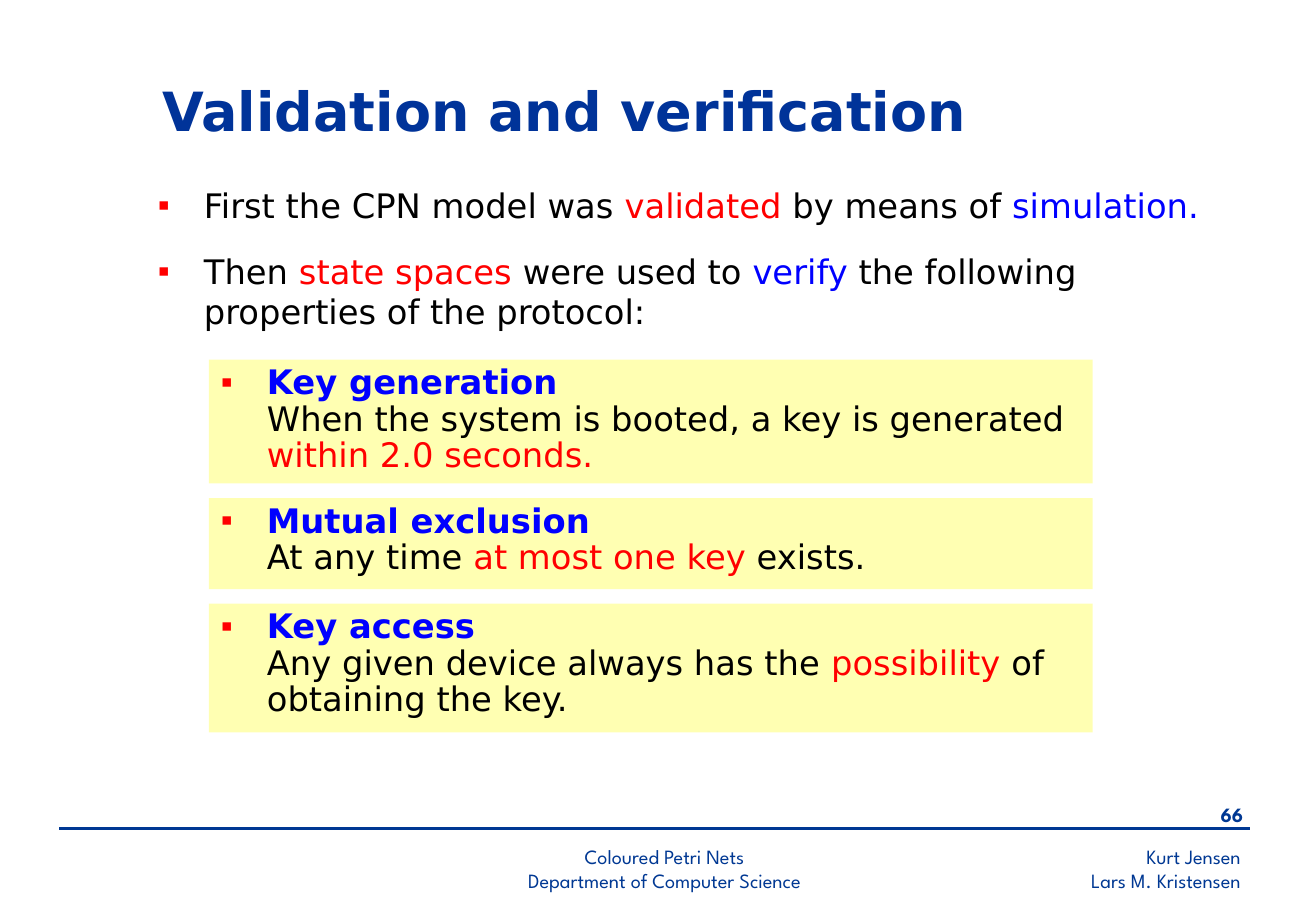
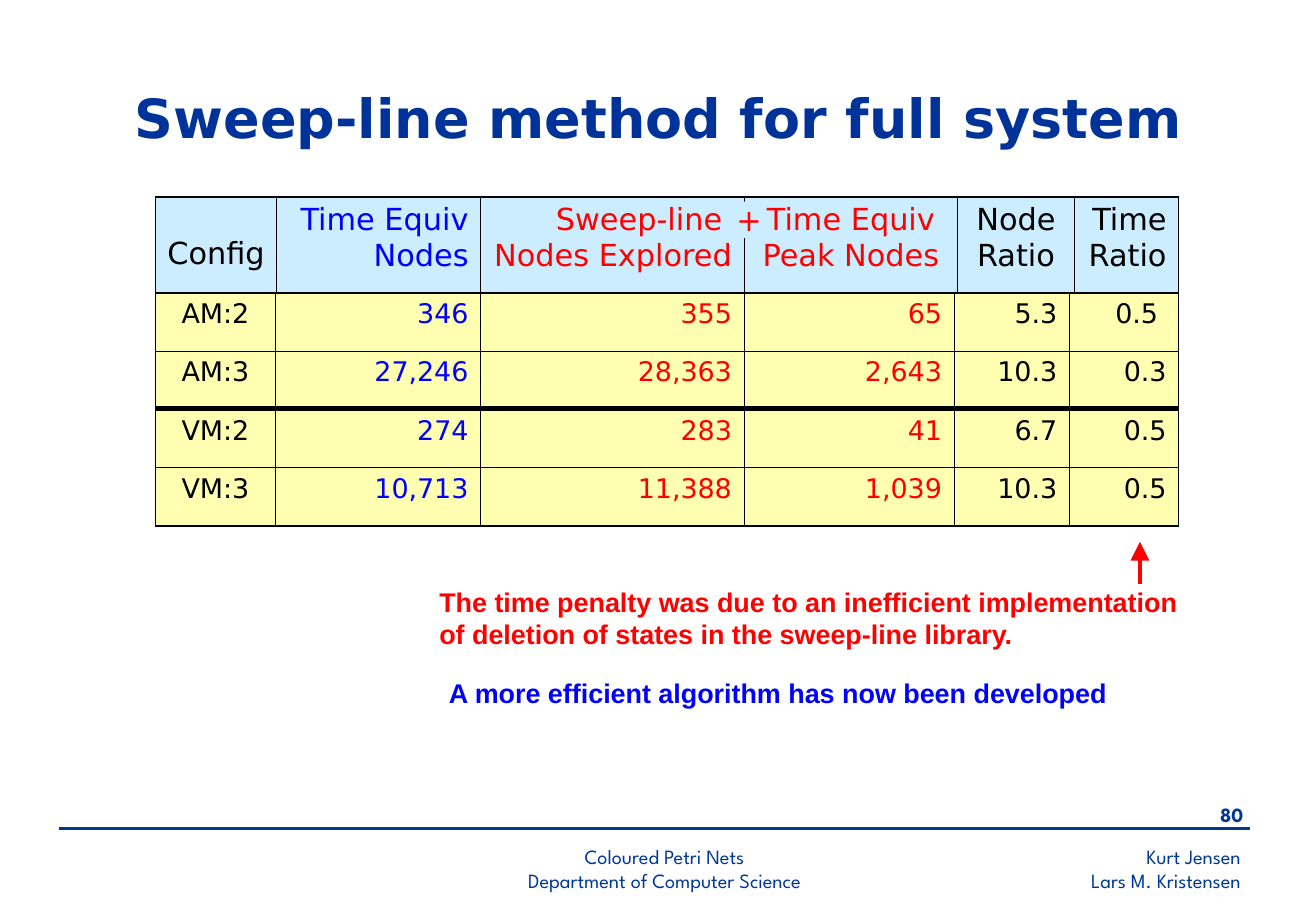
from typing import NamedTuple, Optional, Sequence

import pptx
import pptx.dml.color
import pptx.enum.shapes
import pptx.enum.text
import pptx.oxml
import pptx.oxml.ns
import pptx.util
from lxml import etree

PX = 9144  # EMU per px, 100 px to the inch
Align = pptx.enum.text.PP_ALIGN
Anchor = pptx.enum.text.MSO_ANCHOR
qn = pptx.oxml.ns.qn

BLACK, RED, BLUE = "000000", "FF0000", "0000FF"
TITLE_BLUE, FOOTER_BLUE = "003399", "003893"
YELLOW, PALE_BLUE = "FFFF66", "CCECFF"
SANS, ARIAL, FOOTER_FONT = "DejaVu Sans", "Arial", "League Spartan"


class Box(NamedTuple):
    x: int
    y: int
    w: int
    h: int


class Run(NamedTuple):
    text: str
    color: str = BLACK


class Style(NamedTuple):
    size: int
    font: str = SANS
    color: Optional[str] = None
    bold: Optional[bool] = None
    align: Align = Align.LEFT


class Property(NamedTuple):
    y: int
    h: int
    name: str
    runs: Sequence[Run]


class Column(NamedTuple):
    header: str
    color: str
    header_w: int
    body_w: int
    header_align: Align = Align.RIGHT
    body_align: Align = Align.RIGHT


FOOTER = Style(12, FOOTER_FONT, FOOTER_BLUE)
LIST = Style(20)


# Shared helpers
def emu(*px: int) -> list:
    return [pptx.util.Emu(v * PX) for v in px]


def rgb(color: str) -> pptx.dml.color.RGBColor:
    return pptx.dml.color.RGBColor.from_string(color)


def sub(parent, tag: str, **attrs):
    return etree.SubElement(parent, qn(tag), attrs)


def set_fill(target, parent, color: str, alpha: Optional[int] = None) -> None:
    target.fill.solid()
    target.fill.fore_color.rgb = rgb(color)
    if alpha is not None:
        clr = parent.find(qn("a:solidFill")).find(qn("a:srgbClr"))
        sub(clr, "a:alpha", val=str(alpha * 1000))


def add_runs(p, runs: Sequence[Run]) -> None:
    for run in runs:
        r = p.add_run()
        r.text = run.text
        r.font.color.rgb = rgb(run.color)


def add_bullet(p) -> None:
    pPr = p._p.get_or_add_pPr()
    pPr.set("marL", str(38 * PX))
    pPr.set("indent", str(-38 * PX))
    sub(sub(pPr, "a:buClr"), "a:srgbClr", val=RED)
    sub(pPr, "a:buFont", typeface=ARIAL)
    sub(pPr, "a:buChar", char="▪")


def set_style(p, style: Style) -> None:
    p.alignment = style.align
    p.space_before = pptx.util.Pt(0)
    p.font.name = style.font
    p.font.size = pptx.util.Pt(style.size)
    if style.bold is not None:
        p.font.bold = style.bold
    if style.color:
        p.font.color.rgb = rgb(style.color)


def add_text(s, box: Box, lines: Sequence[str], style: Style) -> None:
    tf = s.shapes.add_textbox(*emu(*box)).text_frame
    tf.word_wrap = True
    for i, line in enumerate(lines):
        p = tf.paragraphs[0] if i == 0 else tf.add_paragraph()
        p.text = line
        set_style(p, style)


def add_rect(s, box: Box, color: str, alpha: Optional[int] = None):
    sp = s.shapes.add_shape(pptx.enum.shapes.MSO_SHAPE.RECTANGLE, *emu(*box))
    sp.shadow.inherit = False
    set_fill(sp, sp._element.spPr, color, alpha)
    sp.line.fill.background()
    sp.text_frame.word_wrap = True
    sp.text_frame.vertical_anchor = Anchor.TOP
    return sp.text_frame


def add_line(s, x1: int, y1: int, x2: int, y2: int, color: str, width: float,
             arrow: bool = False) -> None:
    line = s.shapes.add_connector(
        pptx.enum.shapes.MSO_CONNECTOR.STRAIGHT, *emu(x1, y1, x2, y2))
    line.line.color.rgb = rgb(color)
    line.line.width = pptx.util.Pt(width)
    if arrow:
        sub(line.line._get_or_add_ln(), "a:tailEnd", type="triangle", w="lg", len="lg")
    sub(line._element.spPr, "a:effectLst")


def place(sp, box: Box, anchor: Anchor):
    sp.left, sp.top, sp.width, sp.height = emu(*box)
    tf = sp.text_frame
    tf.auto_size = pptx.enum.text.MSO_AUTO_SIZE.NONE
    tf.word_wrap = True
    tf.vertical_anchor = anchor
    return tf


def new_slide(prs, layout: int, title: str, title_box: Box, number: int):
    s = prs.slides.add_slide(prs.slide_layouts[layout])
    tf = place(s.shapes.title, title_box, Anchor.MIDDLE)
    tf.text = title
    set_style(tf.paragraphs[0], Style(32, color=TITLE_BLUE, bold=True))
    # Footer
    right = FOOTER._replace(align=Align.RIGHT)
    add_text(s, Box(695, 690, 337, 50), ["Kurt Jensen", "Lars M. Kristensen"], right)
    add_text(s, Box(963, 656, 71, 33), [str(number)], right._replace(bold=True))
    add_line(s, 49, 682, 1030, 682, FOOTER_BLUE, 1.5)
    add_text(s, Box(341, 690, 413, 47),
             ["Coloured Petri Nets", "Department of Computer Science"],
             FOOTER._replace(align=Align.CENTER))
    return s


# Tables
def set_borders(cell, outer: dict) -> None:
    tcPr = cell._tc.get_or_add_tcPr()
    for side in "LRTB":
        width = 1.08 if outer[side] else 0.45
        ln = sub(tcPr, f"a:ln{side}", w=str(pptx.util.Pt(width)))
        sub(sub(ln, "a:solidFill"), "a:srgbClr", val=BLACK)


def add_grid(s, x: int, y: int, row_h: int, widths: Sequence[int],
             rows: Sequence[Sequence[str]], styles: Sequence[Style],
             color: str, alpha: Optional[int] = None):
    n_rows, n_cols = len(rows), len(widths)
    table = s.shapes.add_table(
        n_rows, n_cols, *emu(x, y, sum(widths), row_h * n_rows)).table
    table.first_row = table.horz_banding = False
    for col, w in zip(table.columns, widths):
        col.width = emu(w)[0]
    for i, values in enumerate(rows):
        table.rows[i].height = emu(row_h)[0]
        for j, value in enumerate(values):
            cell = table.cell(i, j)
            set_borders(cell, {"L": j == 0, "R": j == n_cols - 1,
                               "T": i == 0, "B": i == n_rows - 1})
            set_fill(cell, cell._tc.tcPr, color, alpha)
            p = cell.text_frame.paragraphs[0]
            p.text = value.replace("\n", "\v")
            set_style(p, styles[j])
    return table


# Slide: validation and verification
PROPERTIES = [
    Property(296, 102, "Key generation", [
        Run("When the system is booted, a key is generated "),
        Run("within 2.0 seconds.", RED)]),
    Property(410, 75, "Mutual exclusion", [
        Run("At any time "), Run("at most one key", RED), Run(" exists.")]),
    Property(497, 106, "Key access", [
        Run("Any given device always has the "), Run("possibility", RED),
        Run(" of obtaining the key.")]),
]

STEPS = [
    [Run("First the CPN model was "), Run("validated", RED),
     Run(" by means of "), Run("simulation.", BLUE)],
    [Run("Then "), Run("state spaces ", RED), Run("were used to "),
     Run("verify", BLUE), Run(" the following properties of the protocol:")],
]


def validation_slide(prs) -> None:
    s = new_slide(prs, 1, "Validation and verification", Box(124, 56, 870, 69), 66)
    tf = place(s.placeholders[1], Box(120, 147, 898, 134), Anchor.TOP)
    for i, runs in enumerate(STEPS):
        p = tf.paragraphs[0] if i == 0 else tf.add_paragraph()
        add_bullet(p)
        set_style(p, LIST)
        p.space_before = pptx.util.Pt(15 if i else 0)
        add_runs(p, runs)
    for prop in PROPERTIES:
        p = add_rect(s, Box(172, prop.y, 728, prop.h), YELLOW, 50).paragraphs[0]
        add_bullet(p)
        set_style(p, LIST)
        p.line_spacing = 0.9
        add_runs(p, [Run(prop.name, BLUE)])
        p.runs[0].font.bold = True
        p.add_line_break()
        add_runs(p, prop.runs)


# Slide: sweep-line method
COLUMNS = [
    Column("Config", BLACK, 100, 99, Align.CENTER, Align.CENTER),
    Column("Time Equiv\nNodes", BLUE, 168, 169),
    Column("Sweep-line \nNodes Explored", RED, 217, 217),
    Column("Time Equiv Peak Nodes", RED, 176, 173, Align.CENTER),
    Column("Node\nRatio", BLACK, 96, 95, Align.CENTER),
    Column("Time Ratio", BLACK, 86, 90),
]
RESULTS = [
    ["AM:2", "346", "355", "65", "5.3", "0.5 "],
    ["AM:3", "27,246", "28,363", "2,643", "10.3", "0.3"],
    ["VM:2", "274", "283", "41", "6.7", "0.5"],
    ["VM:3", "10,713", "11,388", "1,039", "10.3", "0.5"],
]


def sweep_line_slide(prs) -> None:
    s = new_slide(prs, 5, "Sweep-line method for full system",
                  Box(101, 62, 925, 69), 80)
    header = add_grid(
        s, 128, 162, 79, [c.header_w for c in COLUMNS], [[c.header for c in COLUMNS]],
        [Style(18, color=c.color, align=c.header_align) for c in COLUMNS], PALE_BLUE)
    # "Config" sits level with the second header line, with room to stay on one line
    config = header.cell(0, 0)
    config.margin_left, config.margin_top, config.margin_right = emu(4, 33, 4)
    add_grid(s, 128, 241, 48, [c.body_w for c in COLUMNS], RESULTS,
             [Style(16, color=c.color, align=c.body_align) for c in COLUMNS], YELLOW, 50)
    add_line(s, 128, 336, 971, 336, BLACK, 3)

    # Plus sign across the two sweep-line columns
    tf = add_rect(s, Box(605, 166, 24, 30), PALE_BLUE)
    tf.margin_left = tf.margin_top = tf.margin_right = tf.margin_bottom = 0
    p = tf.paragraphs[0]
    p.text = "+"
    set_style(p, Style(18, color=RED, align=Align.CENTER))

    # Remarks on the time ratio
    add_line(s, 939, 481, 939, 446, RED, 2.25, arrow=True)
    remark = Style(16, ARIAL, RED, bold=True)
    add_text(s, Box(352, 477, 642, 64),
             ["The time penalty was due to an inefficient implementation "
              "of deletion of states in the sweep-line library."], remark)
    add_text(s, Box(360, 552, 594, 37),
             ["A more efficient algorithm has now been developed"],
             remark._replace(color=BLUE))


def main() -> None:
    prs = pptx.Presentation()
    prs.slide_width, prs.slide_height = emu(1084, 750)
    validation_slide(prs)
    sweep_line_slide(prs)
    prs.save("out.pptx")


if __name__ == "__main__":
    main()
